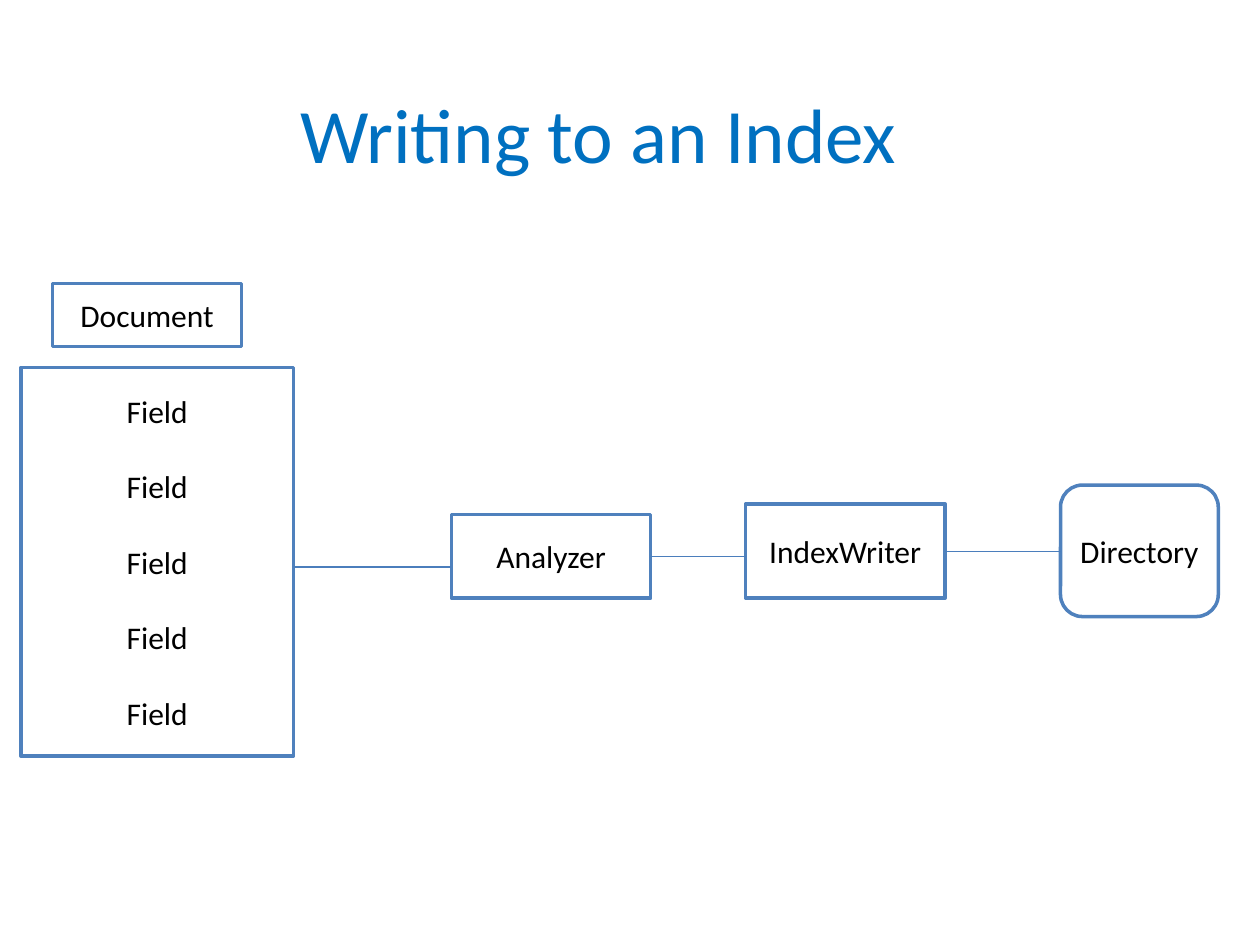
import pptx
import pptx.util
import pptx.dml.color
import pptx.enum.shapes
import pptx.enum.text
import pptx.oxml.ns
import lxml.etree

Cm, Pt = pptx.util.Cm, pptx.util.Pt
SHAPE = pptx.enum.shapes.MSO_SHAPE
STRAIGHT = pptx.enum.shapes.MSO_CONNECTOR.STRAIGHT
CENTER = pptx.enum.text.PP_ALIGN.CENTER
MIDDLE = pptx.enum.text.MSO_ANCHOR.MIDDLE


def rgb(value):
    return pptx.dml.color.RGBColor.from_string(value)


def write(tf, text, size, color, gap=0):
    tf.text = text
    tf.word_wrap = True
    tf.vertical_anchor = MIDDLE
    for i, p in enumerate(tf.paragraphs):
        p.alignment = CENTER
        p.space_before = Pt(gap if i else 0)
        font = p.runs[0].font
        for name, value in {"name": "Calibri", "size": Pt(size)}.items():
            setattr(font, name, value)
        font.color.rgb = rgb(color)


prs = pptx.Presentation()
prs.slide_width, prs.slide_height = Cm(25.4), Cm(19.05)
s = prs.slides.add_slide(prs.slide_layouts[0])

# Title
subtitle = s.placeholders[1].element
subtitle.getparent().remove(subtitle)
title = s.shapes.title
frame = {"left": Cm(1.27), "top": Cm(0.64), "width": Cm(21.59), "height": Cm(4.09)}
for name, value in frame.items():
    setattr(title, name, value)
write(title.text_frame, "Writing to an Index", 44, "0070C0")

# Boxes: text, preset, left, top, width, height
fields = "\n".join(["Field"] * 5)
boxes = [
    ("Document", SHAPE.RECTANGLE, 1.06, 5.72, 3.81, 1.27),
    (fields, SHAPE.RECTANGLE, 0.42, 7.41, 5.5, 7.83),
    ("Analyzer", SHAPE.RECTANGLE, 9.1, 10.37, 4.02, 1.69),
    ("IndexWriter", SHAPE.RECTANGLE, 15.03, 10.16, 4.02, 1.9),
    ("Directory", SHAPE.ROUNDED_RECTANGLE, 21.38, 9.78, 3.18, 2.65),
]
for text, preset, *place in boxes:
    sp = s.shapes.add_shape(preset, *map(Cm, place))
    sp.shadow.inherit = False
    sp.fill.solid()
    sp.fill.fore_color.rgb = rgb("FFFFFF")
    sp.line.color.rgb = rgb("4F81BD")
    sp.line.width = Pt(2)
    write(sp.text_frame, text, 18, "000000", gap=21.5)

# Links between the stages: from x, to x, y
for x1, x2, y in [(5.92, 9.1, 11.43), (13.12, 15.03, 11.22), (19.05, 21.38, 11.12)]:
    link = s.shapes.add_connector(STRAIGHT, Cm(x1), Cm(y), Cm(x2), Cm(y))
    link.line.color.rgb = rgb("4B7EBC")
    link.line.width = Pt(0.75)
    lxml.etree.SubElement(link.element.spPr, pptx.oxml.ns.qn("a:effectLst"))

prs.save("out.pptx")
